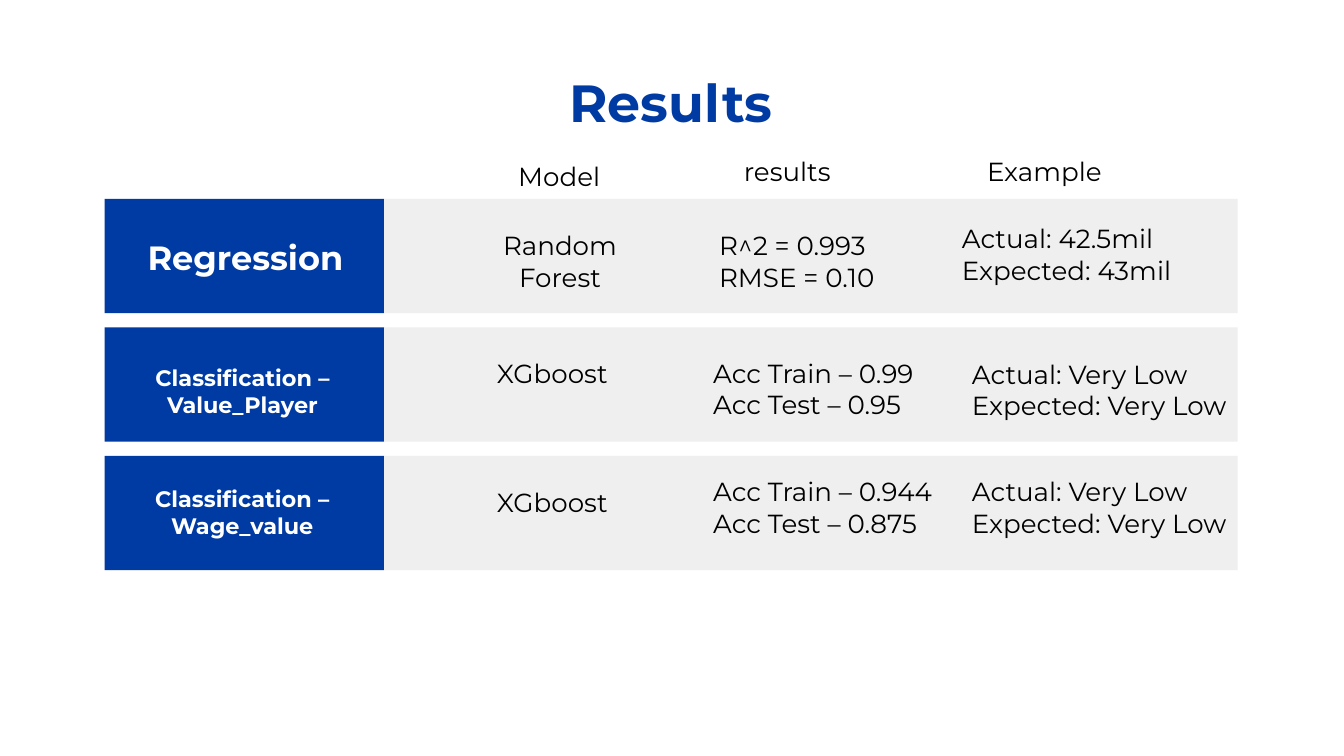
from dataclasses import dataclass

from pptx import Presentation
from pptx.dml.color import RGBColor
from pptx.enum.shapes import MSO_SHAPE
from pptx.enum.text import MSO_ANCHOR, PP_ALIGN
from pptx.slide import Slide
from pptx.util import Cm, Pt

FONT = "Montserrat"
BLUE, GREY, WHITE, BLACK = "003BA3", "EFEFEF", "FFFFFF", "000000"

# Row bands, in cm
LEFT, TOP, PITCH, ROW_H = 1.98, 3.76, 2.43, 2.16
LABEL_W, BODY_W = 5.28, 16.13


@dataclass
class Text:
    text: str
    left: float
    top: float
    width: float
    height: float
    size: int = 14
    color: str = BLACK
    bold: bool = False
    align: PP_ALIGN = PP_ALIGN.LEFT
    space_after: int = 16


@dataclass
class Row:
    label: Text
    model: Text
    result: Text
    example: Text


def rgb(color: str) -> RGBColor:
    return RGBColor.from_string(color)


def add_band(s: Slide, left: float, top: float, width: float, color: str) -> None:
    sp = s.shapes.add_shape(MSO_SHAPE.RECTANGLE, Cm(left), Cm(top), Cm(width), Cm(ROW_H))
    sp.shadow.inherit = False
    sp.fill.solid()
    sp.fill.fore_color.rgb = rgb(color)
    sp.line.fill.background()


def add_text(s: Slide, t: Text) -> None:
    sp = s.shapes.add_textbox(Cm(t.left), Cm(t.top), Cm(t.width), Cm(t.height))
    tf = sp.text_frame
    tf.word_wrap = True
    tf.vertical_anchor = MSO_ANCHOR.TOP
    tf.margin_left = tf.margin_right = tf.margin_top = tf.margin_bottom = Cm(0.25)
    tf.text = t.text
    p = tf.paragraphs[0]
    p.alignment = t.align
    p.space_after = Pt(t.space_after)
    for r in p.runs:
        r.font.name = FONT
        r.font.size = Pt(t.size)
        r.font.bold = t.bold
        r.font.color.rgb = rgb(t.color)


def label(text: str, left: float, top: float, width: float, height: float, size: int) -> Text:
    return Text(text, left, top, width, height, size, WHITE, True, PP_ALIGN.CENTER)


def centered(text: str, left: float, top: float, width: float, height: float) -> Text:
    return Text(text, left, top, width, height, align=PP_ALIGN.CENTER)


TITLE = Text("Results", LEFT, 1.07, 21.41, 2.59, 28, BLUE, True, PP_ALIGN.CENTER, 0)

HEADERS = [
    centered("Model", 8.36, 2.79, 4.42, 1.14),
    centered("results", 12.67, 2.69, 4.42, 1.14),
    centered("Example", 17.53, 2.69, 4.42, 1.14),
]

# "\v" is a line break inside a paragraph
VERY_LOW = "Actual: Very Low\vExpected: Very Low"
ROWS = [
    Row(
        label("Regression", 2.39, 4.22, 4.5, 1.19, 18),
        centered("Random Forest", 8.59, 4.09, 3.99, 1.52),
        Text("R^2 = 0.993\vRMSE = 0.10", 13.34, 4.09, 3.99, 1.52),
        Text("Actual: 42.5mil\vExpected: 43mil", 17.93, 3.96, 5.66, 2.11),
    ),
    Row(
        label("Classification –\vValue_Player", 2.39, 6.63, 4.39, 1.19, 12),
        centered("XGboost", 7.8, 6.5, 5.28, 1.52),
        Text("Acc Train – 0.99\vAcc Test – 0.95", 13.23, 6.5, 5.28, 1.52),
        Text(VERY_LOW, 18.12, 6.52, 5.66, 2.11),
    ),
    Row(
        label("Classification –\vWage_value", 2.6, 8.92, 3.96, 1.93, 12),
        centered("XGboost", 7.8, 8.94, 5.28, 1.52),
        Text("Acc Train – 0.944\vAcc Test – 0.875", 13.23, 8.74, 5.28, 1.52),
        Text(VERY_LOW, 18.12, 8.74, 5.66, 2.11),
    ),
]


def main() -> None:
    prs = Presentation()
    prs.slide_width, prs.slide_height = Cm(25.4), Cm(14.29)
    s = prs.slides.add_slide(prs.slide_layouts[6])

    # Title
    add_text(s, TITLE)

    # Rows: label band, body band and their texts
    for i, row in enumerate(ROWS):
        top = TOP + i * PITCH
        add_band(s, LEFT, top, LABEL_W, BLUE)
        add_band(s, LEFT + LABEL_W, top, BODY_W, GREY)
        for t in (row.label, row.model, row.result, row.example):
            add_text(s, t)

    # Column headers
    for header in HEADERS:
        add_text(s, header)

    prs.save("out.pptx")


if __name__ == "__main__":
    main()
